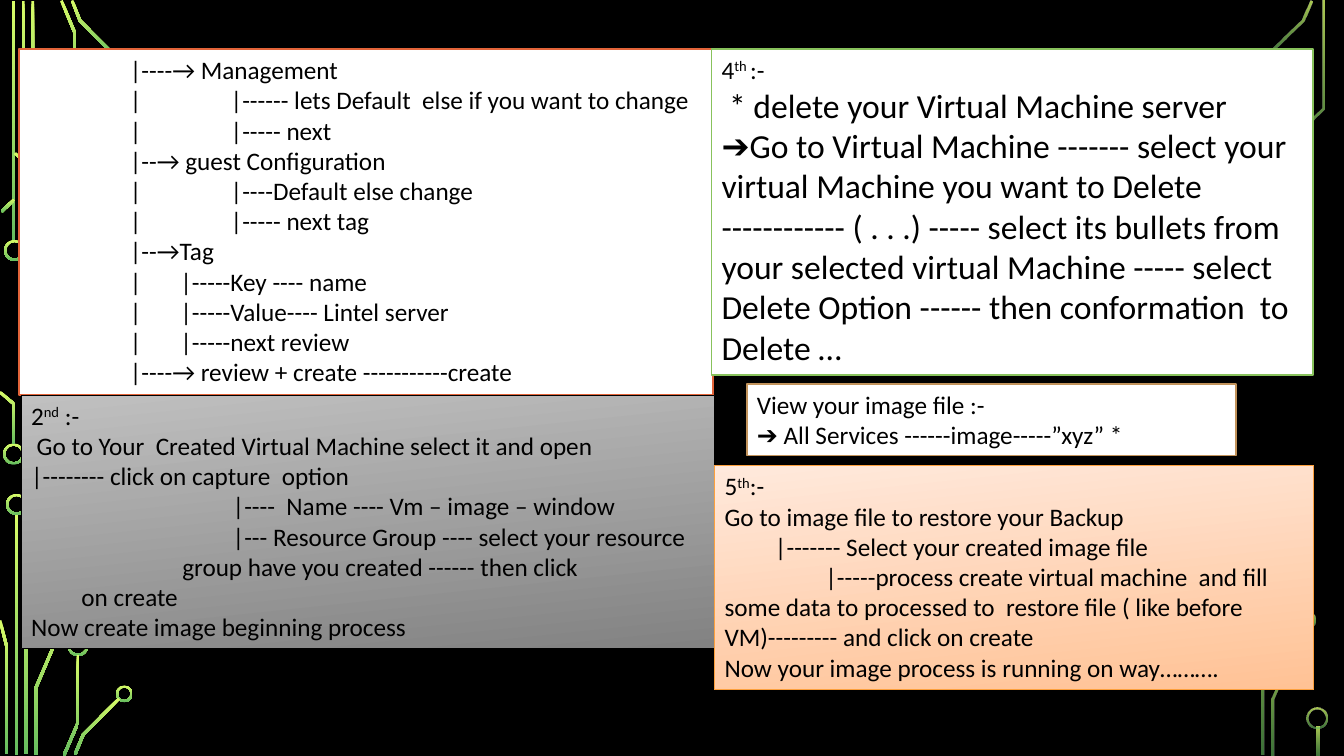
"""Build a slide of virtual machine backup notes over a circuit-board frame."""
from dataclasses import dataclass
from itertools import pairwise

from lxml import etree
from pptx import Presentation
from pptx import util as u
from pptx.dml.color import RGBColor
from pptx.enum import shapes, text
from pptx.oxml import ns

BLACK = RGBColor(0x00, 0x00, 0x00)
WHITE = RGBColor(0xFF, 0xFF, 0xFF)
LIME = RGBColor(0xD8, 0xFC, 0x68)
GREEN = RGBColor(0x66, 0xBD, 0x5F)
SILVER = RGBColor(0xC0, 0xC0, 0xC0)
GREY = RGBColor(0x82, 0x82, 0x82)
CREAM = RGBColor(0xFF, 0xE9, 0xDC)
PEACH = RGBColor(0xFF, 0xC2, 0x95)
RED_EDGE = RGBColor(0xE3, 0x64, 0x39)
TAN_EDGE = RGBColor(0xC2, 0x93, 0x5B)
GREEN_EDGE = RGBColor(0x88, 0xC2, 0x5C)
ORANGE_EDGE = RGBColor(0xFC, 0xA0, 0x3D)
FONT = "Calibri"
TRACE_WIDTH = 2
RING_WIDTH = 1.5


@dataclass(frozen=True)
class Line:
    text: str
    raised: str = ""
    tail: str = ""
    size: float = 18


@dataclass(frozen=True)
class Panel:
    left: float
    top: float
    width: float
    height: float
    colors: tuple[RGBColor, ...]
    edge: RGBColor
    edge_width: float
    lines: tuple[Line, ...]


@dataclass(frozen=True)
class Ring:
    left: float
    top: float
    diameter: float = 15


@dataclass(frozen=True)
class Bar:
    left: float
    top: float
    height: float


@dataclass(frozen=True)
class Circuit:
    opacities: tuple[int, int]
    bars: tuple[Bar, ...]
    rings: tuple[Ring, ...]
    traces: tuple[tuple[tuple[float, float], ...], ...]


CIRCUITS = (
    Circuit(
        (100, 100),
        (Bar(8.6, 0.7, 172), Bar(10.8, 367.2, 172)),
        (Ring(2.9, 171.4), Ring(2.2, 316.8), Ring(4.3, 352.8), Ring(41.8, 383),
         Ring(48.2, 413.3), Ring(48.2, 453.6), Ring(82.8, 489.6, 12)),
        (
            ((43.9, 142.9), (16.6, 78.4), (16.6, 0.7)),
            ((51.1, 112.7), (23.4, 47.9), (23.4, 0.7)),
            ((53.6, 72), (53.6, 23.8), (43.9, 0.4)),
            ((83.2, 41), (57.2, 14.8), (51.5, 0.4)),
            ((1.1, 151.2), (10.1, 142.6)),
            ((10.1, 317.5), (10.1, 288.7), (0, 280.1)),
            ((20.9, 146.2), (20.9, 119.2), (10.8, 109.4)),
            ((18.4, 538.6), (18.4, 461.2), (45.7, 397.1)),
            ((4.7, 538.6), (4.7, 461.5), (0, 443.2)),
            ((25.6, 539.3), (25.6, 491.4), (52.9, 427.3)),
            ((45.7, 539.6), (55.8, 516.2), (55.8, 468)),
            ((53.6, 538.9), (59.4, 524.9), (85, 499)),
        ),
    ),
    Circuit(
        (80, 60),
        (Bar(940.3, 519.1, 20.2),),
        (Ring(927.4, 437, 12), Ring(916.6, 383), Ring(933.1, 505.4)),
        (
            ((905, 40), (930.6, 14.4), (936.4, 0.4)),
            ((909, 539.3), (909, 499.3), (931, 448.9)),
            ((923, 121.7), (923, 99.7), (945, 77.4), (945, 0.7)),
            ((901.8, 539.3), (901.8, 441.7), (924.1, 420.1), (924.1, 397.4)),
        ),
    ),
)

PANELS = (
    Panel(13.7, 35.3, 495.4, 247, (WHITE,), RED_EDGE, 1.25, (
        Line("\t\t|----→ Management"),
        Line("\t\t|\t\t|------ lets Default  else if you want to change"),
        Line("\t\t|\t\t|----- next"),
        Line("\t\t|--→ guest Configuration"),
        Line("\t\t|\t\t|----Default else change"),
        Line("\t\t|\t\t|----- next tag"),
        Line("\t\t|--→Tag"),
        Line("\t\t|\t|-----Key ---- name"),
        Line("\t\t|\t|-----Value---- Lintel server"),
        Line("\t\t|\t|-----next review"),
        Line("\t\t|----→ review + create -----------create"),
    )),
    Panel(15.1, 282.2, 495.4, 181.4, (SILVER, GREY), BLACK, 0.75, (
        Line("2", "nd", " :-"),
        Line(" Go to Your  Created Virtual Machine select it and open"),
        Line("|-------- click on capture  option"),
        Line("\t\t\t\t|----  Name ---- Vm – image – window"),
        Line("\t\t\t\t|--- Resource Group ---- select your resource \t\t\t\t\t"
             "group have you created ------ then click \t\t\t\t\t\ton create"),
        Line("Now create image beginning process"),
    )),
    Panel(533.5, 274.3, 349.2, 51, (WHITE,), TAN_EDGE, 1.25, (
        Line("View your image file :-"),
        Line("➔ All Services ------image-----”xyz” *"),
    )),
    Panel(508.3, 35.3, 429.8, 232.6, (WHITE,), GREEN_EDGE, 1.25, (
        Line("4", "th ", ":-"),
        Line(" * delete your Virtual Machine server", size=24),
        Line("➔Go to Virtual Machine ------- select your virtual Machine you want "
             "to Delete  ------------ ( . . .) ----- select its bullets from  your "
             "selected virtual Machine ----- select Delete Option ------ then "
             "conformation  to Delete …", size=24),
    )),
    Panel(510.5, 332.6, 427.7, 159.8, (CREAM, PEACH), ORANGE_EDGE, 0.75, (
        Line("5", "th", ":-"),
        Line("Go to image file to restore your Backup"),
        Line("\t|------- Select your created image file"),
        Line("\t\t|-----process create virtual machine  and fill some data to "
             "processed to  restore file ( like before VM)--------- and click on create"),
        Line("Now your image process is running on way………."),
    )),
)


def fill_gradient(shape, colors: tuple[RGBColor, ...], angle: float) -> None:
    shape.fill.gradient()
    shape.fill.gradient_angle = angle
    for stop, color in zip(shape.fill.gradient_stops, colors):
        stop.color.rgb = color


def finish_circuit_part(shape, opacities: tuple[int, int]) -> None:
    shape.shadow.inherit = False
    shape.line.fill.background()
    fill_gradient(shape, (LIME, GREEN), 270)
    for color, opacity in zip(shape._element.iter(ns.qn("a:srgbClr")), opacities):
        if opacity < 100:
            etree.SubElement(color, ns.qn("a:alpha")).set("val", str(opacity * 1000))


def add_trace(slide, points: tuple[tuple[float, float], ...]):
    centers = [complex(*point) for point in points]
    directions = [(b - a) / abs(b - a) for a, b in pairwise(centers)]
    bends = [a + b for a, b in pairwise([directions[0], *directions, directions[-1]])]
    offsets = [TRACE_WIDTH * 1j * bend / abs(bend) ** 2 for bend in bends]
    one_side = [c + o for c, o in zip(centers, offsets)]
    other_side = [c - o for c, o in zip(centers, offsets)]
    outline = [(u.Pt(p.real), u.Pt(p.imag)) for p in one_side + other_side[::-1]]
    builder = slide.shapes.build_freeform(*outline[0])
    builder.add_line_segments(outline[1:], close=True)
    return builder.convert_to_shape()


def add_ring(slide, ring: Ring):
    size = u.Pt(ring.diameter)
    shape = slide.shapes.add_shape(
        shapes.MSO_SHAPE.DONUT, u.Pt(ring.left), u.Pt(ring.top), size, size)
    shape.adjustments[0] = RING_WIDTH / ring.diameter
    return shape


def add_bar(slide, bar: Bar):
    return slide.shapes.add_shape(
        shapes.MSO_SHAPE.RECTANGLE, u.Pt(bar.left), u.Pt(bar.top),
        u.Pt(TRACE_WIDTH), u.Pt(bar.height))


def add_circuit(slide, circuit: Circuit) -> None:
    parts = [add_bar(slide, bar) for bar in circuit.bars]
    parts += [add_ring(slide, ring) for ring in circuit.rings]
    parts += [add_trace(slide, trace) for trace in circuit.traces]
    for part in parts:
        finish_circuit_part(part, circuit.opacities)


def write_line(paragraph, line: Line) -> None:
    paragraph.font.name = FONT
    paragraph.font.size = u.Pt(line.size)
    paragraph.font.color.rgb = BLACK
    paragraph.add_run().text = line.text
    if line.raised:
        raised = paragraph.add_run()
        raised.text = line.raised
        raised._r.get_or_add_rPr().set("baseline", "30000")
        paragraph.add_run().text = line.tail


def add_panel(slide, panel: Panel) -> None:
    shape = slide.shapes.add_textbox(
        u.Pt(panel.left), u.Pt(panel.top), u.Pt(panel.width), u.Pt(panel.height))
    if len(panel.colors) > 1:
        fill_gradient(shape, panel.colors, 276)
    else:
        shape.fill.solid()
        shape.fill.fore_color.rgb = panel.colors[0]
    shape.line.color.rgb = panel.edge
    shape.line.width = u.Pt(panel.edge_width)
    frame = shape.text_frame
    frame.word_wrap = True
    frame.auto_size = text.MSO_AUTO_SIZE.SHAPE_TO_FIT_TEXT
    for index, line in enumerate(panel.lines):
        write_line(frame.add_paragraph() if index else frame.paragraphs[0], line)


def main() -> None:
    presentation = Presentation()
    presentation.slide_width, presentation.slide_height = u.Pt(960), u.Pt(540)
    slide = presentation.slides.add_slide(presentation.slide_layouts[6])
    slide.background.fill.solid()
    slide.background.fill.fore_color.rgb = BLACK
    for circuit in CIRCUITS:
        add_circuit(slide, circuit)
    for panel in PANELS:
        add_panel(slide, panel)
    presentation.save("out.pptx")


if __name__ == "__main__":
    main()
